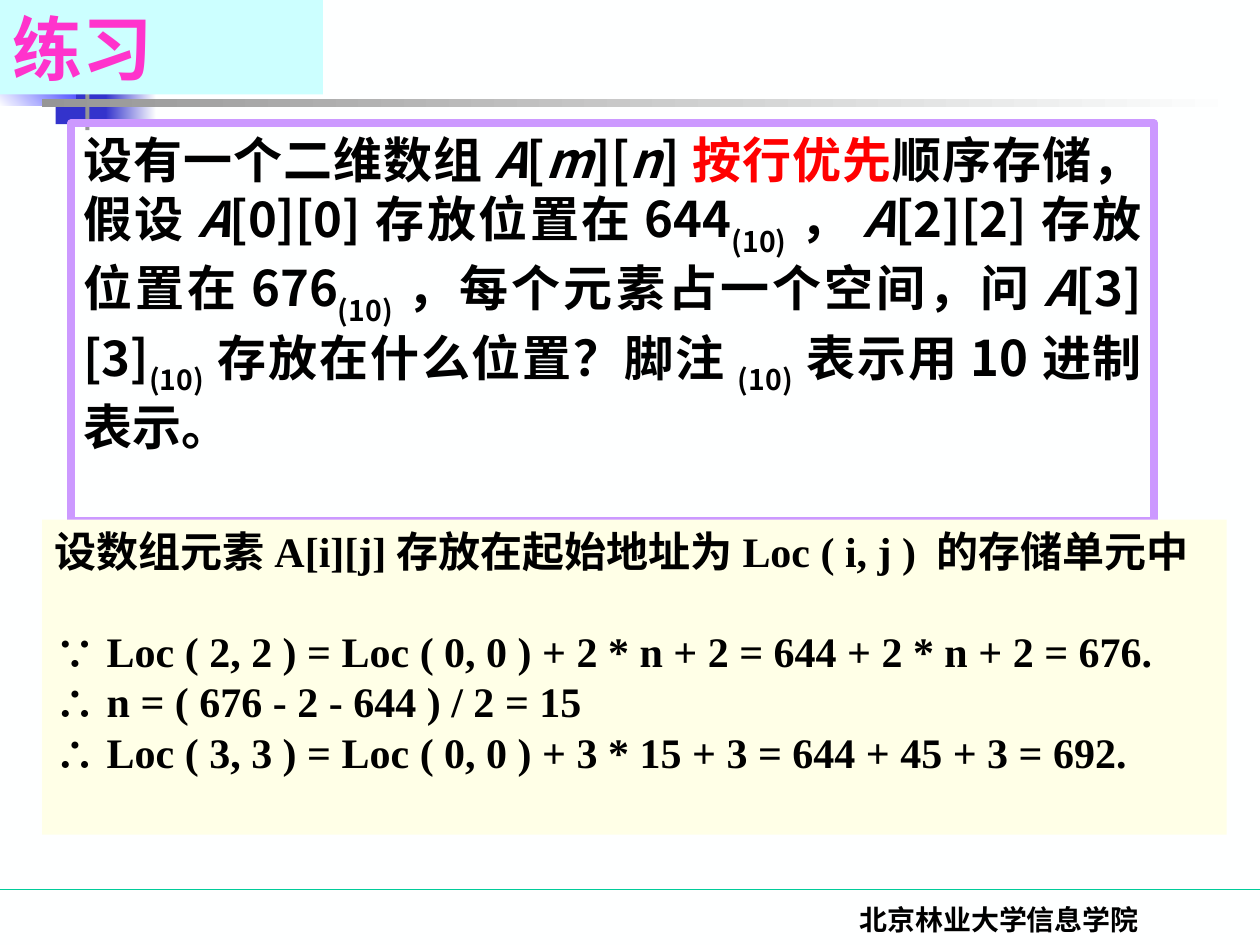
from lxml import etree
from pptx import Presentation
from pptx.dml.color import RGBColor
from pptx.enum.shapes import MSO_CONNECTOR, MSO_SHAPE
from pptx.enum.text import MSO_ANCHOR, MSO_AUTO_SIZE, PP_ALIGN
from pptx.oxml.ns import qn
from pptx.util import Pt

RECTANGLE = MSO_SHAPE.RECTANGLE
STRAIGHT = MSO_CONNECTOR.STRAIGHT
TOP, MIDDLE = MSO_ANCHOR.TOP, MSO_ANCHOR.MIDDLE
NO_RESIZE = MSO_AUTO_SIZE.NONE
LEFT, CENTER, JUSTIFY = PP_ALIGN.LEFT, PP_ALIGN.CENTER, PP_ALIGN.JUSTIFY

BLACK = RGBColor(0x00, 0x00, 0x00)
PAPER = RGBColor(0xFE, 0xFF, 0xFF)
RED = RGBColor(0xFF, 0x00, 0x00)
PINK = RGBColor(0xFF, 0x33, 0xCC)
CYAN = RGBColor(0xCC, 0xFF, 0xFF)
LILAC = RGBColor(0xCC, 0x99, 0xFF)
CREAM = RGBColor(0xFF, 0xFF, 0xE7)
GREEN = RGBColor(0x00, 0xCC, 0x99)
NAVY = RGBColor(0x00, 0x33, 0x66)
INDIGO = RGBColor(0x33, 0x33, 0xCC)
BLUE = RGBColor(0x00, 0x00, 0xFF)
GRAY = RGBColor(0x96, 0x96, 0x96)

SANS, SERIF = "Noto Sans CJK SC", "Times New Roman"

# Question text: (words, style)
QUESTION = [
    ("设有一个二维数组", ""), ("A", "italic"), ("[", ""), ("m", "italic"),
    ("][", ""), ("n", "italic"), ("]", ""), ("按行优先", "red"),
    ("顺序存储，假设", ""), ("A", "italic"), ("[0][0]存放位置在644", ""),
    ("(10)", "sub"), ("，", ""), ("A", "italic"), ("[2][2]存放位置在676", ""),
    ("(10)", "sub"), ("，每个元素占一个空间，问", ""), ("A", "italic"),
    ("[3][3]", ""), ("(10)", "sub"), ("存放在什么位置？脚注", ""),
    ("(10)", "sub"), ("表示用10进制表示。", ""),
]
PREMISE = "设数组元素A[i][j]存放在起始地址为Loc ( i, j ) 的存储单元中"
STEPS = [
    "∵ Loc ( 2, 2 ) = Loc ( 0, 0 ) + 2 * n + 2 = 644 + 2 * n + 2 = 676.",
    "∴ n = ( 676 - 2 - 644 ) / 2 = 15",
    "∴ Loc ( 3, 3 ) = Loc ( 0, 0 ) + 3 * 15 + 3 = 644 + 45 + 3 = 692.",
]


def points(box):
    return [Pt(length) for length in box]


def format_frame(shape, anchor=TOP):
    frame = shape.text_frame
    frame.word_wrap = True
    frame.auto_size = NO_RESIZE
    frame.vertical_anchor = anchor
    frame.margin_left = frame.margin_right = Pt(7.2)
    frame.margin_top = frame.margin_bottom = Pt(3.6)
    return frame


def format_paragraph(para, size, name, color=BLACK, align=LEFT):
    para.alignment = align
    font = para.font
    font.size, font.name, font.bold = Pt(size), name, True
    font.color.rgb = color
    # East Asian typeface for the Chinese characters
    for span in para.runs:
        properties = span._r.get_or_add_rPr()
        etree.SubElement(properties, qn("a:ea")).set("typeface", SANS)


def add_block(shapes, box, fill=None, fade=None, angle=0):
    block = shapes.add_shape(RECTANGLE, *points(box))
    block.shadow.inherit = False
    block.line.fill.background()
    if fill is None:
        block.fill.background()
    elif fade is None:
        block.fill.solid()
        block.fill.fore_color.rgb = fill
    else:
        block.fill.gradient()
        block.fill.gradient_angle = angle
        for stop, color in zip(block.fill.gradient_stops, (fill, fade)):
            stop.color.rgb = color
    return block


def add_ornament(page, left, top):
    shapes = page.shapes.add_group_shape().shapes
    for x, y, width, height, *fill in (
        (23, 9, 34.5, 37.5, NAVY),
        (52.5, 9, 26, 37.5, NAVY, PAPER),
        (32.5, 42, 33, 37.5, INDIGO),
        (61, 42, 29, 37.5, INDIGO, PAPER),
        (0, 36, 44, 33, PAPER, BLUE, 45),
        (49.5, 0, 2.3, 83, GRAY),
        (24.5, 65, 685, 4.5, GRAY, PAPER),
    ):
        add_block(shapes, (left + x, top + y, width, height), *fill)


def add_footer(page, left, top, width, height):
    rule = page.shapes.add_connector(STRAIGHT, *points((0, top - 3.5, 720, top - 3.5)))
    rule.line.color.rgb = GREEN
    rule.line.width = Pt(0.75)
    etree.SubElement(rule._element.spPr, qn("a:effectLst"))
    label = page.shapes.add_textbox(*points((left, top, width, height)))
    para = format_frame(label).paragraphs[0]
    para.text = "北京林业大学信息学院"
    format_paragraph(para, 16, SERIF, align=CENTER)


def add_question(page, box):
    panel = add_block(page.shapes, box)
    panel.line.color.rgb = LILAC
    panel.line.width = Pt(4.5)
    para = format_frame(panel).paragraphs[0]
    for words, style in QUESTION:
        span = para.add_run()
        span.text = words
        if style == "italic":
            span.font.italic = True
        elif style == "red":
            span.font.color.rgb = RED
        elif style == "sub":
            span.font._element.set("baseline", "-30000")
    format_paragraph(para, 28, SANS, align=JUSTIFY)


def add_answer(page, box):
    frame = format_frame(add_block(page.shapes, box, CREAM))
    for index, words in enumerate([PREMISE, *STEPS]):
        para = frame.add_paragraph() if index else frame.paragraphs[0]
        para.text = words
        if index == 1:
            para.space_before = Pt(28)
        format_paragraph(para, 24, SERIF, align=JUSTIFY)


def add_title(page, box):
    title = page.shapes.title
    title.left, title.top, title.width, title.height = points(box)
    title.fill.solid()
    title.fill.fore_color.rgb = CYAN
    para = format_frame(title, MIDDLE).paragraphs[0]
    para.text = "练习"
    format_paragraph(para, 40, SANS, PINK)
    # The title lies over the ornament
    page.shapes._spTree.append(title._element)


def main():
    deck = Presentation()
    deck.slide_width, deck.slide_height = Pt(720), Pt(540)
    page = deck.slides.add_slide(deck.slide_layouts[5])
    page.background.fill.solid()
    page.background.fill.fore_color.rgb = PAPER
    add_ornament(page, -0.7, -8.6)
    add_footer(page, 422, 512, 298, 36)
    add_question(page, (40.5, 70.5, 619, 227))
    add_answer(page, (24, 297, 677, 180))
    add_title(page, (0, 0, 184.5, 54))
    deck.save("out.pptx")


if __name__ == "__main__":
    main()
